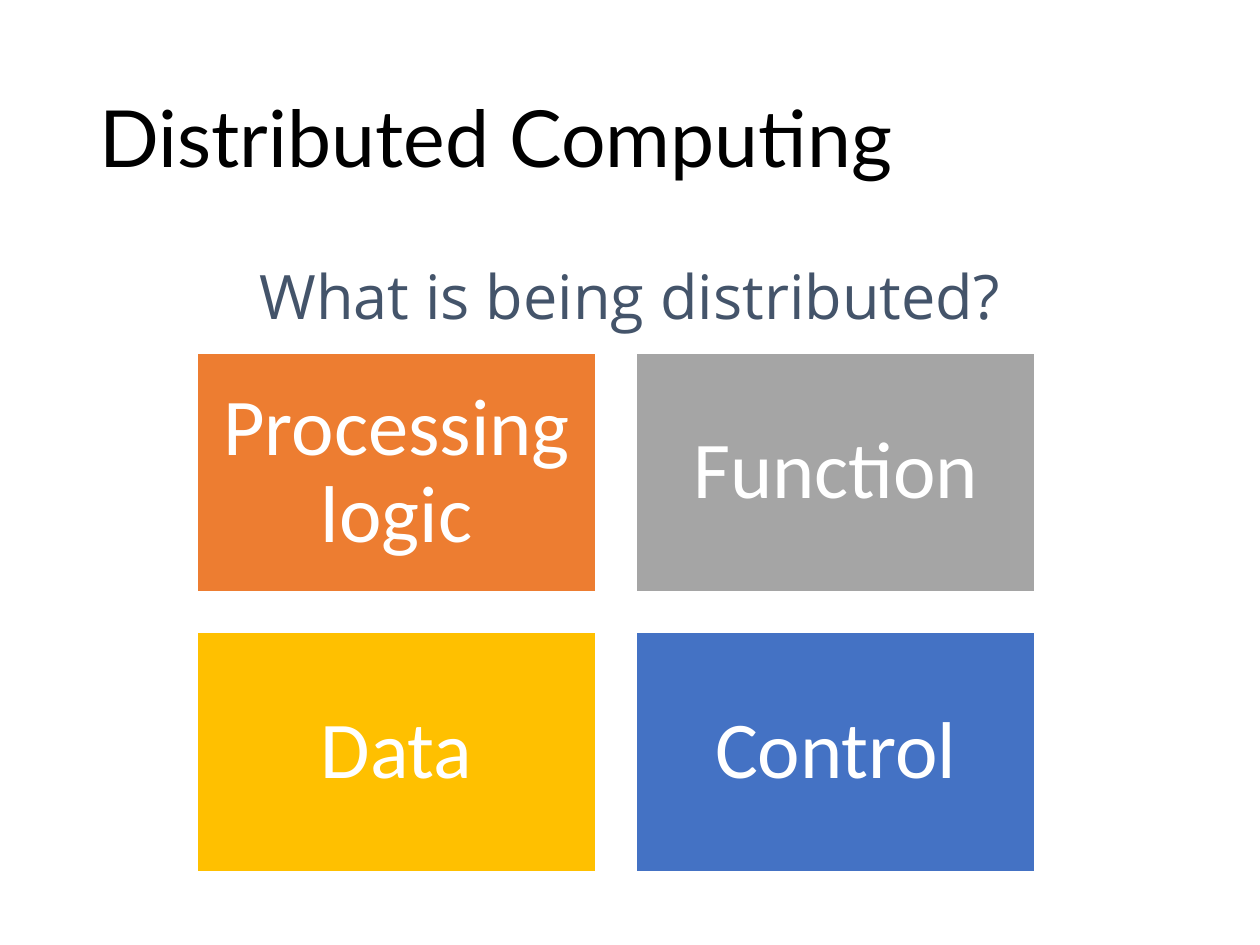
"""Build the Distributed Computing slide with its two-by-two grid of tiles."""
from dataclasses import dataclass

from lxml.etree import SubElement
from pptx import Presentation
from pptx.dml.color import RGBColor
from pptx.enum.shapes import MSO_SHAPE
from pptx.enum.text import MSO_ANCHOR, MSO_AUTO_SIZE, PP_ALIGN
from pptx.oxml.ns import qn
from pptx.shapes.base import BaseShape
from pptx.slide import Slide
from pptx.text.text import _Paragraph
from pptx.util import Pt

BLACK = RGBColor(0x00, 0x00, 0x00)
WHITE = RGBColor(0xFF, 0xFF, 0xFF)
SLATE = RGBColor(0x44, 0x54, 0x6A)
ORANGE = RGBColor(0xED, 0x7D, 0x31)
GRAY = RGBColor(0xA5, 0xA5, 0xA5)
GOLD = RGBColor(0xFF, 0xC0, 0x00)
BLUE = RGBColor(0x44, 0x72, 0xC4)

GRID_LEFT, GRID_TOP = 112.6, 201.6
TILE_WIDTH, TILE_HEIGHT = 228, 136.8
TILE_GAP = 23
TILE_INSET = 13.7
COLUMNS = 2


@dataclass(frozen=True)
class Tile:
    label: str
    color: RGBColor


TILES = [
    Tile("Processing logic", ORANGE),
    Tile("Function", GRAY),
    Tile("Data", GOLD),
    Tile("Control", BLUE),
]


def place(shape: BaseShape, left: float, top: float, width: float, height: float) -> None:
    """Position a shape, with all lengths in points."""
    shape.left, shape.top = Pt(left), Pt(top)
    shape.width, shape.height = Pt(width), Pt(height)


def format_paragraph(paragraph: _Paragraph, font_name: str, size: float,
                     color: RGBColor, alignment: PP_ALIGN, spacing: float) -> None:
    """Apply alignment, line spacing and font to a paragraph."""
    paragraph.alignment = alignment
    paragraph.line_spacing = spacing
    paragraph.space_before = Pt(0)
    for run in paragraph.runs:
        run.font.name = font_name
        run.font.size = Pt(size)
        run.font.color.rgb = color


def add_title(slide: Slide) -> None:
    """Fill the title placeholder."""
    title = slide.shapes.title
    place(title, 49.7, 28.8, 620.6, 104.4)
    frame = title.text_frame
    frame.text = "Distributed Computing"
    frame.auto_size = MSO_AUTO_SIZE.NONE
    frame.vertical_anchor = MSO_ANCHOR.MIDDLE
    format_paragraph(frame.paragraphs[0], "Lato", 45, BLACK, PP_ALIGN.LEFT, 0.9)


def add_question(slide: Slide) -> None:
    """Fill the body placeholder with an unbulleted, centred question."""
    question = slide.placeholders[1]
    place(question, 49.7, 144, 620.6, 52.6)
    frame = question.text_frame
    frame.text = "What is being distributed?"
    frame.auto_size = MSO_AUTO_SIZE.NONE
    paragraph = frame.paragraphs[0]
    properties = paragraph._p.get_or_add_pPr()
    properties.set("marL", "0")
    properties.set("indent", "0")
    SubElement(properties, qn("a:buNone"))
    format_paragraph(paragraph, "Open Sans", 35, SLATE, PP_ALIGN.CENTER, 1.0)
    paragraph.space_after = Pt(6)


def add_tile(slide: Slide, tile: Tile, row: int, column: int) -> None:
    """Draw one labelled tile in its grid cell."""
    rectangle = slide.shapes.add_shape(
        MSO_SHAPE.RECTANGLE,
        Pt(GRID_LEFT + column * (TILE_WIDTH + TILE_GAP)),
        Pt(GRID_TOP + row * (TILE_HEIGHT + TILE_GAP)),
        Pt(TILE_WIDTH), Pt(TILE_HEIGHT),
    )
    rectangle.shadow.inherit = False
    rectangle.fill.solid()
    rectangle.fill.fore_color.rgb = tile.color
    rectangle.line.color.rgb = WHITE
    rectangle.line.width = Pt(1)
    frame = rectangle.text_frame
    frame.text = tile.label
    frame.word_wrap = True
    frame.vertical_anchor = MSO_ANCHOR.MIDDLE
    frame.margin_left = frame.margin_right = Pt(TILE_INSET)
    frame.margin_top = frame.margin_bottom = Pt(TILE_INSET)
    format_paragraph(frame.paragraphs[0], "Calibri", 46, WHITE, PP_ALIGN.CENTER, 0.9)


def main() -> None:
    """Create and save the presentation."""
    presentation = Presentation()
    presentation.slide_width, presentation.slide_height = Pt(720), Pt(540)
    slide = presentation.slides.add_slide(presentation.slide_layouts[1])
    add_title(slide)
    add_question(slide)
    for index, tile in enumerate(TILES):
        add_tile(slide, tile, *divmod(index, COLUMNS))
    presentation.save("out.pptx")


if __name__ == "__main__":
    main()
